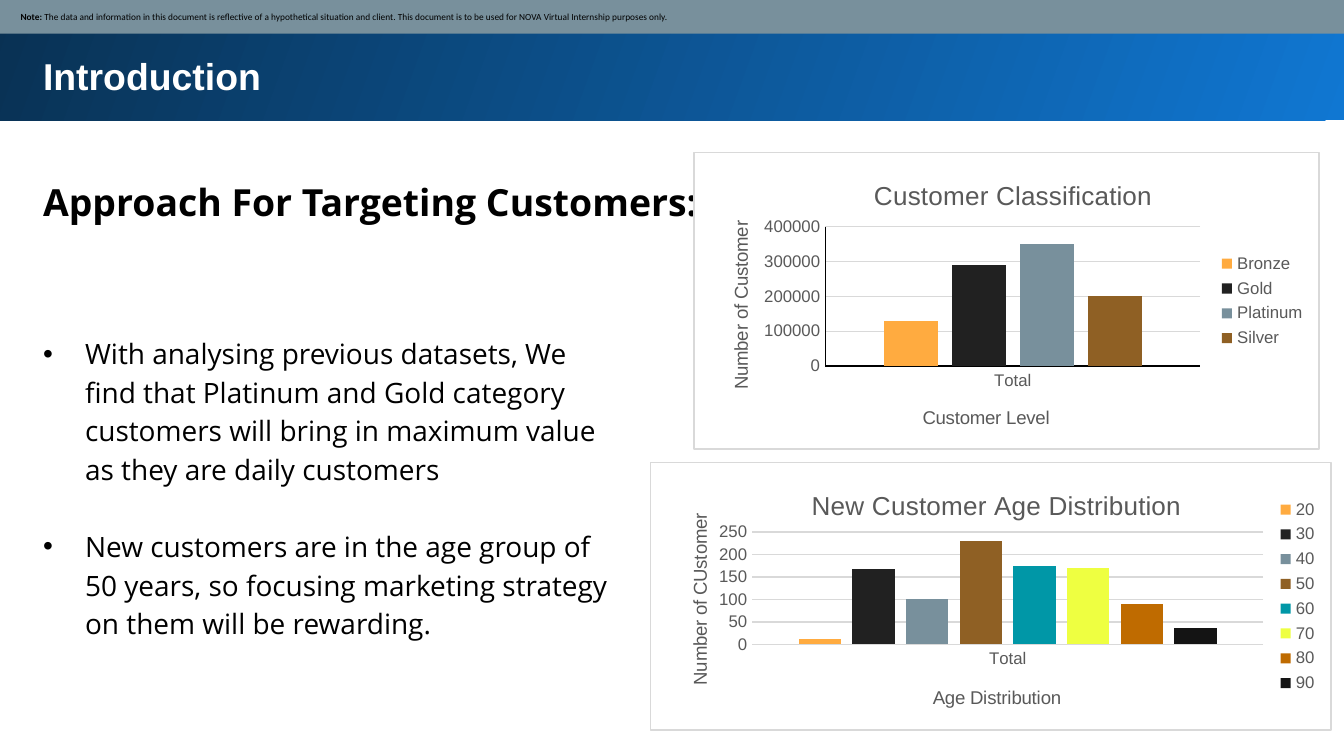
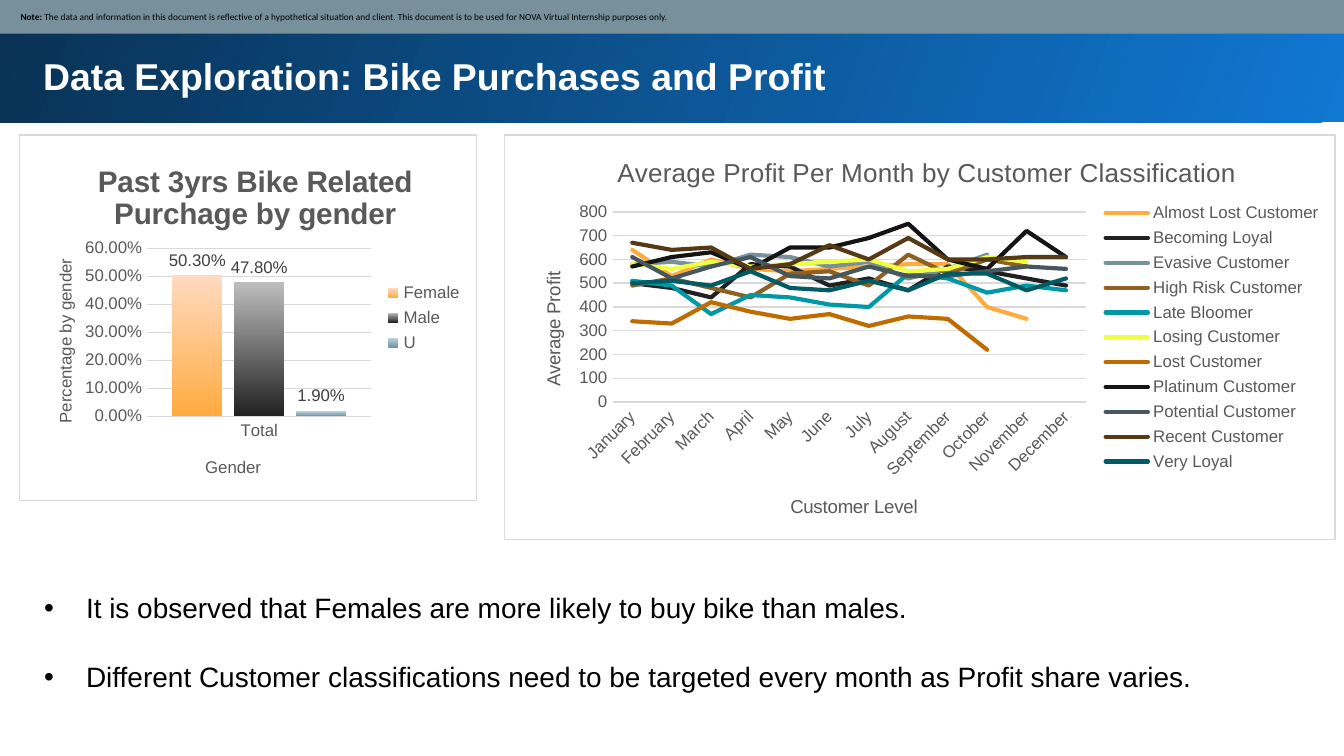
from dataclasses import dataclass
from typing import Any, NamedTuple

import lxml.etree
import pptx
import pptx.chart.data
import pptx.dml.color
import pptx.enum.chart
import pptx.enum.shapes
import pptx.enum.text
import pptx.oxml
import pptx.oxml.ns
import pptx.util

Pt = pptx.util.Pt
RGBColor = pptx.dml.color.RGBColor
Kind = pptx.enum.chart.XL_CHART_TYPE
qn = pptx.oxml.ns.qn

BLACK = RGBColor(0x00, 0x00, 0x00)
WHITE = RGBColor(0xFF, 0xFF, 0xFF)
GREY = RGBColor(0x59, 0x59, 0x59)
DARK = RGBColor(0x40, 0x40, 0x40)
RULE = RGBColor(0xD9, 0xD9, 0xD9)
SLATE = RGBColor(0x78, 0x90, 0x9C)
BLUE = RGBColor(0x10, 0x77, 0xD2)
NAVY = RGBColor(0x09, 0x31, 0x53)
HUES = [
    RGBColor(0xFF, 0xAB, 0x40), RGBColor(0x21, 0x21, 0x21), SLATE,
    RGBColor(0x8F, 0x60, 0x24), RGBColor(0x00, 0x97, 0xA7),
    RGBColor(0xEE, 0xFF, 0x41), RGBColor(0xBF, 0x6B, 0x00),
    RGBColor(0x14, 0x14, 0x14), RGBColor(0x46, 0x57, 0x60),
    RGBColor(0x56, 0x3A, 0x16), RGBColor(0x00, 0x5B, 0x64),
]
FADES = [
    (HUES[0], RGBColor(0xFF, 0xDA, 0xC0)),
    (HUES[1], RGBColor(0xBD, 0xBD, 0xBD)),
    (RGBColor(0x73, 0x92, 0xA1), RGBColor(0xBD, 0xD5, 0xE2)),
]
NOTE = ("The data and information in this document is reflective of a hypothetical "
        "situation and client. This document is to be used for NOVA Virtual "
        "Internship purposes only.")
MONTHS = ["January", "February", "March", "April", "May", "June", "July",
          "August", "September", "October", "November", "December"]


class Box(NamedTuple):
    """Left, top, width and height in points."""
    left: float
    top: float
    width: float
    height: float

    def place(self) -> list[Any]:
        """Give the four lengths as Pt."""
        return [Pt(side) for side in self]


class Face(NamedTuple):
    """Font name, size, colour and weight."""
    name: str
    size: float
    hue: RGBColor = BLACK
    bold: bool = False


@dataclass
class Graph:
    """A chart; spots are fractions of its frame."""
    box: Box
    title: str
    cat: str
    val: str
    rows: dict[str, list[float | None]]
    top: float
    step: float
    plot: tuple[float, float, float, float]
    spots: list[tuple[float, float]]
    cats: tuple[str, ...] = ("Total",)
    kind: Any = Kind.COLUMN_CLUSTERED
    head: Face = Face("Arial", 14, GREY)
    sub: Face = Face("Arial", 10, GREY)
    base: RGBColor = RULE
    edge: bool = False
    gap: int = 219
    lap: int = -27
    form: str = "General"
    fade: bool = False


def style(font: Any, face: Face) -> None:
    """Apply a face to a font."""
    font.name, font.size, font.bold = face.name, Pt(face.size), face.bold
    font.color.rgb = face.hue


def blend(fill: Any, start: RGBColor, end: RGBColor, angle: float) -> None:
    """Set a two-colour gradient."""
    fill.gradient()
    fill.gradient_angle = angle
    for stop, hue in zip(fill.gradient_stops, (start, end)):
        stop.color.rgb = hue


def add_box(slide: Any, box: Box) -> Any:
    """Add a rectangle without line or shadow."""
    shape = slide.shapes.add_shape(pptx.enum.shapes.MSO_SHAPE.RECTANGLE, *box.place())
    shape.shadow.inherit = False
    shape.line.fill.background()
    return shape


def add_text(slide: Any, box: Box, lines: list[str], face: Face, inset: float = 7.2,
             pitch: float = 1, gap: float = 0, dots: bool = False) -> None:
    """Add a text box, with bullets if dots is set."""
    frame = slide.shapes.add_textbox(*box.place()).text_frame
    frame.word_wrap = True
    frame.margin_left = frame.margin_right = Pt(inset)
    frame.margin_top = frame.margin_bottom = Pt(inset)
    frame.text = "\n".join(lines)
    for rank, para in enumerate(frame.paragraphs):
        para.line_spacing = pitch
        para.space_before = Pt(gap if rank else 0)
        style(para.runs[0].font, face)
        if dots:
            props = para._p.get_or_add_pPr()
            props.set("marL", str(Pt(22.5)))
            props.set("indent", str(-Pt(22.5)))
            font = lxml.etree.SubElement(props, qn("a:buFont"))
            font.set("typeface", "Arial")
            lxml.etree.SubElement(props, qn("a:buChar")).set("char", "•")


def add_band(slide: Any, box: Box) -> None:
    """Add the blue title band."""
    blend(add_box(slide, box).fill, BLUE, NAVY, 160)


def add_title(slide: Any, text: str) -> None:
    """Add the slide title."""
    add_text(slide, Box(16, 21, 674.5, 37), [text], Face("Arial", 20, WHITE, True))


def add_note(slide: Any) -> None:
    """Add the grey strip with the note."""
    shape = add_box(slide, Box(-0.5, -0.5, 722, 18.5))
    shape.fill.solid()
    shape.fill.fore_color.rgb = SLATE
    frame = shape.text_frame
    frame.word_wrap = True
    frame.vertical_anchor = pptx.enum.text.MSO_ANCHOR.MIDDLE
    frame.margin_left = Pt(11.5)
    frame.margin_right = frame.margin_top = frame.margin_bottom = Pt(3.6)
    para = frame.paragraphs[0]
    para.alignment = pptx.enum.text.PP_ALIGN.LEFT
    for text, bold in (("Note: ", True), (NOTE, False)):
        run = para.add_run()
        run.text = text
        style(run.font, Face("Calibri", 5, BLACK, bold))


def pin(node: Any, spot: tuple[float, ...], rank: int) -> None:
    """Fix the place of a chart part."""
    for old in node.findall(qn("c:layout")):
        node.remove(old)
    layout = lxml.etree.Element(qn("c:layout"))
    man = lxml.etree.SubElement(layout, qn("c:manualLayout"))
    pairs = [("xMode", "edge"), ("yMode", "edge"), *zip("xywh", spot)]
    if len(spot) == 4:
        pairs.insert(0, ("layoutTarget", "inner"))
    for tag, val in pairs:
        lxml.etree.SubElement(man, qn("c:" + tag)).set("val", str(val))
    node.insert(rank, layout)


def add_frame(root: Any) -> None:
    """Give a chart a white ground and a thin border."""
    props = lxml.etree.Element(qn("c:spPr"))
    line = lxml.etree.Element(qn("a:ln"), w=str(Pt(0.75)))
    for node, hue in ((props, WHITE), (line, RULE)):
        fill = lxml.etree.SubElement(node, qn("a:solidFill"))
        lxml.etree.SubElement(fill, qn("a:srgbClr")).set("val", str(hue))
    props.append(line)
    root.find(qn("c:chart")).addnext(props)


def set_axis(axis: Any, text: str, face: Face, hue: RGBColor | None) -> None:
    """Style an axis and its title."""
    axis.axis_title.text_frame.text = text
    style(axis.axis_title.text_frame.paragraphs[0].runs[0].font, face)
    style(axis.tick_labels.font, Face("Arial", 9, GREY))
    axis.major_tick_mark = axis.minor_tick_mark = pptx.enum.chart.XL_TICK_MARK.NONE
    if hue is None:
        axis.format.line.fill.background()
    else:
        axis.format.line.color.rgb = hue
        axis.format.line.width = Pt(0.75)


def add_graph(slide: Any, graph: Graph) -> None:
    """Add a column or line chart."""
    data = pptx.chart.data.CategoryChartData(number_format=graph.form)
    data.categories = graph.cats
    for name, vals in graph.rows.items():
        data.add_series(name, vals)
    chart = slide.shapes.add_chart(graph.kind, *graph.box.place(), data).chart
    style(chart.font, Face("Arial", 10))
    chart.has_title = True
    chart.chart_title.text_frame.text = graph.title
    style(chart.chart_title.text_frame.paragraphs[0].runs[0].font, graph.head)
    chart.has_legend = True
    chart.legend.position = pptx.enum.chart.XL_LEGEND_POSITION.RIGHT
    chart.legend.include_in_layout = False
    style(chart.legend.font, Face("Arial", 9, GREY))

    set_axis(chart.category_axis, graph.cat, graph.sub, graph.base)
    axis = chart.value_axis
    set_axis(axis, graph.val, graph.sub, BLACK if graph.edge else None)
    axis.minimum_scale, axis.maximum_scale, axis.major_unit = 0, graph.top, graph.step
    axis.tick_labels.number_format = graph.form
    axis.tick_labels.number_format_is_linked = False
    axis.has_major_gridlines = True
    axis.major_gridlines.format.line.color.rgb = RULE
    axis.major_gridlines.format.line.width = Pt(0.75)

    plot = chart.plots[0]
    plot.vary_by_categories = False
    lines = graph.kind == Kind.LINE
    if not lines:
        plot.gap_width, plot.overlap = graph.gap, graph.lap
    for rank, row in enumerate(plot.series):
        if lines:
            row.smooth = False
            row.format.line.color.rgb = HUES[rank]
            row.format.line.width = Pt(2.25)
        elif graph.fade:
            blend(row.format.fill, *FADES[rank], 90)
        else:
            row.format.fill.solid()
            row.format.fill.fore_color.rgb = HUES[rank]
    if graph.fade:
        plot.has_data_labels = True
        tags = plot.data_labels
        tags.show_value = True
        tags.number_format, tags.number_format_is_linked = graph.form, False
        tags.position = pptx.enum.chart.XL_LABEL_POSITION.OUTSIDE_END
        style(tags.font, Face("Arial", 9, DARK))

    root = chart.element
    add_frame(root)
    pin(root.xpath("c:chart/c:plotArea")[0], graph.plot, 0)
    paths = ("c:chart/c:title", "//c:catAx/c:title", "//c:valAx/c:title")
    for path, spot in zip(paths, graph.spots):
        pin(root.xpath(path)[0], spot, 1)
    if lines:
        root.xpath("//c:catAx/c:txPr/a:bodyPr")[0].set("rot", "-2700000")
        for line in root.xpath("//c:ser/c:spPr/a:ln"):
            line.set("cap", "rnd")


LEVELS = Graph(
    Box(371.5, 81.5, 335.5, 159.5), "Customer Classification", "Customer Level",
    "Number of Customer",
    {"Bronze": [130000], "Gold": [290000], "Platinum": [350000], "Silver": [200000]},
    400000, 100000, (0.21, 0.25, 0.6, 0.47), [(0.28, 0.07), (0.36, 0.84), (0.05, 0.22)],
    base=BLACK, edge=True)
AGES = Graph(
    Box(348, 247.5, 365.5, 144), "New Customer Age Distribution", "Age Distribution",
    "Number of CUstomer",
    {str(20 + 10 * rank): [count] for rank, count in
     enumerate([13, 168, 102, 230, 174, 170, 89, 37])},
    250, 50, (0.15, 0.26, 0.75, 0.42), [(0.23, 0.08), (0.41, 0.82), (0.05, 0.18)])
PROFIT = Graph(
    Box(270, 72, 445.5, 217.5), "Average Profit Per Month by Customer Classification",
    "Customer Level", "Average Profit",
    {"Almost Lost Customer": [640, 530, 600, 560, 550, 560, 570, 580, 580, 400, 350, None],
     "Becoming Loyal": [500, 480, 440, 580, 570, 490, 520, 470, 570, 550, 520, 490],
     "Evasive Customer": [580, 590, 570, 620, 610, 570, 590, 520, 560, 620, None, None],
     "High Risk Customer": [490, 520, 480, 440, 540, 550, 490, 620, 540, 600, 570, None],
     "Late Bloomer": [510, 490, 370, 450, 440, 410, 400, 540, 520, 460, 490, 470],
     "Losing Customer": [580, 560, 590, 570, 580, 590, 600, 550, 560, 610, 590, None],
     "Lost Customer": [340, 330, 420, 380, 350, 370, 320, 360, 350, 220, None, None],
     "Platinum Customer": [570, 610, 630, 560, 650, 650, 690, 750, 600, 560, 720, 610],
     "Potential Customer": [610, 520, 570, 610, 530, 520, 570, 530, 530, 550, 570, 560],
     "Recent Customer": [670, 640, 650, 560, 580, 660, 600, 690, 600, 600, 610, 610],
     "Very Loyal": [500, 510, 490, 550, 480, 470, 510, 470, 540, 540, 470, 520]},
    800, 100, (0.13, 0.19, 0.57, 0.47), [(0.13, 0.04), (0.34, 0.88), (0.04, 0.33)],
    cats=tuple(MONTHS), kind=Kind.LINE)
GENDER = Graph(
    Box(10, 72, 245.5, 196.5), "Past 3yrs Bike Related Purchage by gender", "Gender",
    "Percentage by gender", {"Female": [0.503], "Male": [0.478], "U": [0.019]},
    0.6, 0.1, (0.28, 0.31, 0.49, 0.46), [(0.16, 0.06), (0.4, 0.87), (0.07, 0.33)],
    head=Face("Arial", 16, GREY, True), sub=Face("Arial", 9, GREY),
    gap=100, lap=-24, form="0.00%", fade=True)

deck = pptx.Presentation()
deck.slide_width, deck.slide_height = Pt(720), Pt(405)
blank = deck.slide_layouts[6]

intro = deck.slides.add_slide(blank)
add_band(intro, Box(-1.5, -1.5, 723.5, 66))
add_title(intro, "Introduction")
add_text(intro, Box(16, 85, 674.5, 40), ["Approach For Targeting Customers:"],
         Face("Open Sans", 20, bold=True), pitch=1.15)
add_text(intro, Box(16, 170.5, 325.5, 180.5), [
    "With analysing previous datasets, We find that Platinum and Gold category "
    "customers will bring in maximum value as they are daily customers",
    "New customers are in the age group of 50 years, so focusing marketing strategy "
    "on them will be rewarding."],
    Face("Open Sans", 15), pitch=1.15, gap=20.5, dots=True)
add_note(intro)
add_graph(intro, LEVELS)
add_graph(intro, AGES)

sales = deck.slides.add_slide(blank)
add_band(sales, Box(-3.5, -0.5, 723.5, 66))
add_title(sales, "Data Exploration: Bike Purchases and Profit")
add_note(sales)
add_graph(sales, PROFIT)
add_graph(sales, GENDER)
add_text(sales, Box(20, 313, 642, 62), [
    "It is observed that Females are more likely to buy bike than males.",
    "Different Customer classifications need to be targeted every month as Profit "
    "share varies."], Face("Arial", 15), inset=3.6, gap=19, dots=True)

deck.save("out.pptx")
